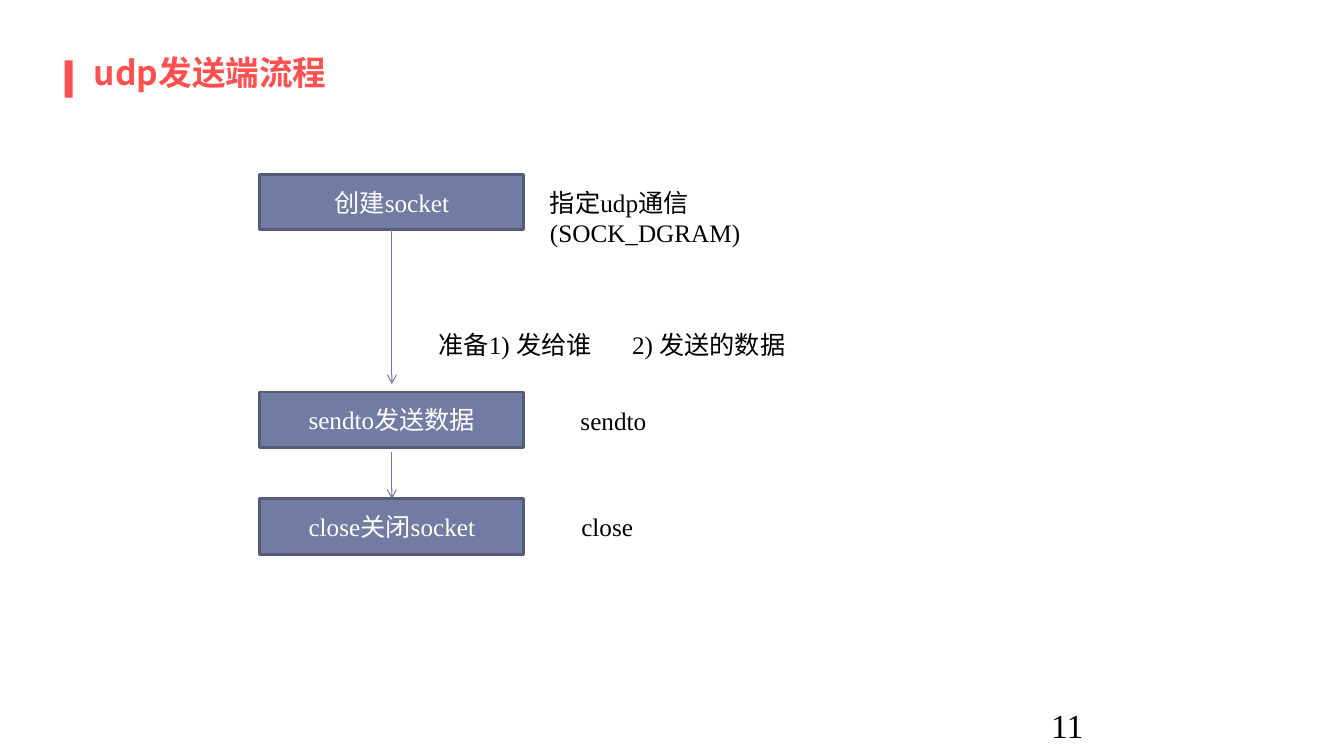
from dataclasses import dataclass

from lxml import etree
from pptx import Presentation
from pptx import util as u
from pptx.dml import color
from pptx.enum import shapes, text
from pptx.oxml import ns


@dataclass(frozen=True)
class Theme:
    accent: str = "FF5050"
    step_fill: str = "727CA3"
    step_line: str = "545C79"
    arrow: str = "6E79A1"
    dark: str = "000000"
    light: str = "FFFFFF"
    heading_font: str = "Noto Sans CJK SC"
    body_font: str = "Times New Roman"
    heading_size: int = 24
    body_size: int = 18


@dataclass(frozen=True)
class Step:
    caption: str
    top: float


@dataclass(frozen=True)
class Label:
    caption: str
    left: float
    top: float
    width: float
    size: int


@dataclass(frozen=True)
class Arrow:
    start: float
    end: float


THEME = Theme()
STEP_LEFT, STEP_WIDTH, STEP_HEIGHT = 6.55, 6.65, 1.4
LABEL_HEIGHT, LABEL_DROP = 1.02, 0.2
NOTE_TAB = 4.88

CREATE = Step("创建socket", 4.39)
SEND = Step("sendto发送数据", 9.88)
CLOSE = Step("close关闭socket", 12.57)
STEPS = [CREATE, SEND, CLOSE]
ARROWS = [
    Arrow(CREATE.top + STEP_HEIGHT, SEND.top - 0.2),
    Arrow(SEND.top + STEP_HEIGHT + 0.1, CLOSE.top),
]
LABELS = [
    Label("指定udp通信(SOCK_DGRAM)", 13.61, CREATE.top + LABEL_DROP, 8.79, THEME.body_size),
    Label("sendto", 14.38, SEND.top + LABEL_DROP, 3.25, THEME.body_size),
    Label("close", 14.4, CLOSE.top + LABEL_DROP, 3.25, THEME.body_size),
    Label("准备1) 发给谁\t2) 发送的数据", 10.8, 8.18, 11.07, THEME.body_size),
    Label("11", 26.24, 17.65, 7.62, THEME.heading_size),
]


def rgb(value: str) -> color.RGBColor:
    return color.RGBColor.from_string(value)


def write(shape, caption: str, size: int, font_name: str, font_color: str):
    """Fill the shape with one formatted paragraph and return it."""
    shape.text_frame.word_wrap = True
    paragraph = shape.text_frame.paragraphs[0]
    paragraph.text = caption
    paragraph.font.size = u.Pt(size)
    paragraph.font.name = font_name
    paragraph.font.color.rgb = rgb(font_color)
    return paragraph


def add_rectangle(slide, left: float, top: float, width: float, height: float, fill: str):
    shape = slide.shapes.add_shape(
        shapes.MSO_SHAPE.RECTANGLE, u.Cm(left), u.Cm(top), u.Cm(width), u.Cm(height))
    shape.shadow.inherit = False
    shape.fill.solid()
    shape.fill.fore_color.rgb = rgb(fill)
    shape.line.fill.background()
    return shape


def add_title(slide, caption: str) -> None:
    add_rectangle(slide, 1.63, 1.52, 0.2, 0.94, THEME.accent)
    title = slide.shapes.title
    title.left, title.top, title.width, title.height = map(u.Cm, (2.11, 1.3, 29.67, 1.17))
    title.text_frame.auto_size = text.MSO_AUTO_SIZE.NONE
    title.text_frame.vertical_anchor = text.MSO_ANCHOR.TOP
    title.text_frame.margin_top = 0
    paragraph = write(title, caption, THEME.heading_size, THEME.heading_font, THEME.accent)
    paragraph.alignment = text.PP_ALIGN.LEFT
    paragraph.font.bold = True
    # East Asian typeface
    defaults = paragraph._p.find(".//" + ns.qn("a:defRPr"))
    etree.SubElement(defaults, ns.qn("a:ea"), typeface=THEME.heading_font)


def add_step(slide, step: Step) -> None:
    shape = add_rectangle(
        slide, STEP_LEFT, step.top, STEP_WIDTH, STEP_HEIGHT, THEME.step_fill)
    shape.line.color.rgb = rgb(THEME.step_line)
    shape.line.width = u.Pt(2)
    shape.text_frame.vertical_anchor = text.MSO_ANCHOR.MIDDLE
    paragraph = write(shape, step.caption, THEME.body_size, THEME.body_font, THEME.light)
    paragraph.alignment = text.PP_ALIGN.CENTER


def add_arrow(slide, arrow: Arrow) -> None:
    center = u.Cm(STEP_LEFT + STEP_WIDTH / 2)
    connector = slide.shapes.add_connector(
        shapes.MSO_CONNECTOR.STRAIGHT, center, u.Cm(arrow.start), center, u.Cm(arrow.end))
    connector.line.color.rgb = rgb(THEME.arrow)
    connector.line.width = u.Pt(0.75)
    # Arrowhead, and no shadow
    etree.SubElement(connector.line._get_or_add_ln(), ns.qn("a:tailEnd"), type="arrow")
    etree.SubElement(connector._element.spPr, ns.qn("a:effectLst"))


def add_label(slide, label: Label) -> None:
    box = slide.shapes.add_textbox(
        u.Cm(label.left), u.Cm(label.top), u.Cm(label.width), u.Cm(LABEL_HEIGHT))
    paragraph = write(box, label.caption, label.size, THEME.body_font, THEME.dark)
    if "\t" in label.caption:
        # Tab stop goes ahead of the default run properties
        tabs = etree.Element(ns.qn("a:tabLst"))
        etree.SubElement(tabs, ns.qn("a:tab"), pos=str(u.Cm(NOTE_TAB)), algn="l")
        paragraph._p.find(".//" + ns.qn("a:defRPr")).addprevious(tabs)


def main() -> None:
    presentation = Presentation()
    presentation.slide_width = u.Cm(33.87)
    presentation.slide_height = u.Cm(19.05)
    title_only = presentation.slide_layouts.get_by_name("Title Only")
    slide = presentation.slides.add_slide(title_only)

    # Heading
    add_title(slide, "udp发送端流程")

    # Flow
    for step in STEPS:
        add_step(slide, step)
    for arrow in ARROWS:
        add_arrow(slide, arrow)

    # Explanations and page number
    for label in LABELS:
        add_label(slide, label)

    presentation.save("out.pptx")


main()
